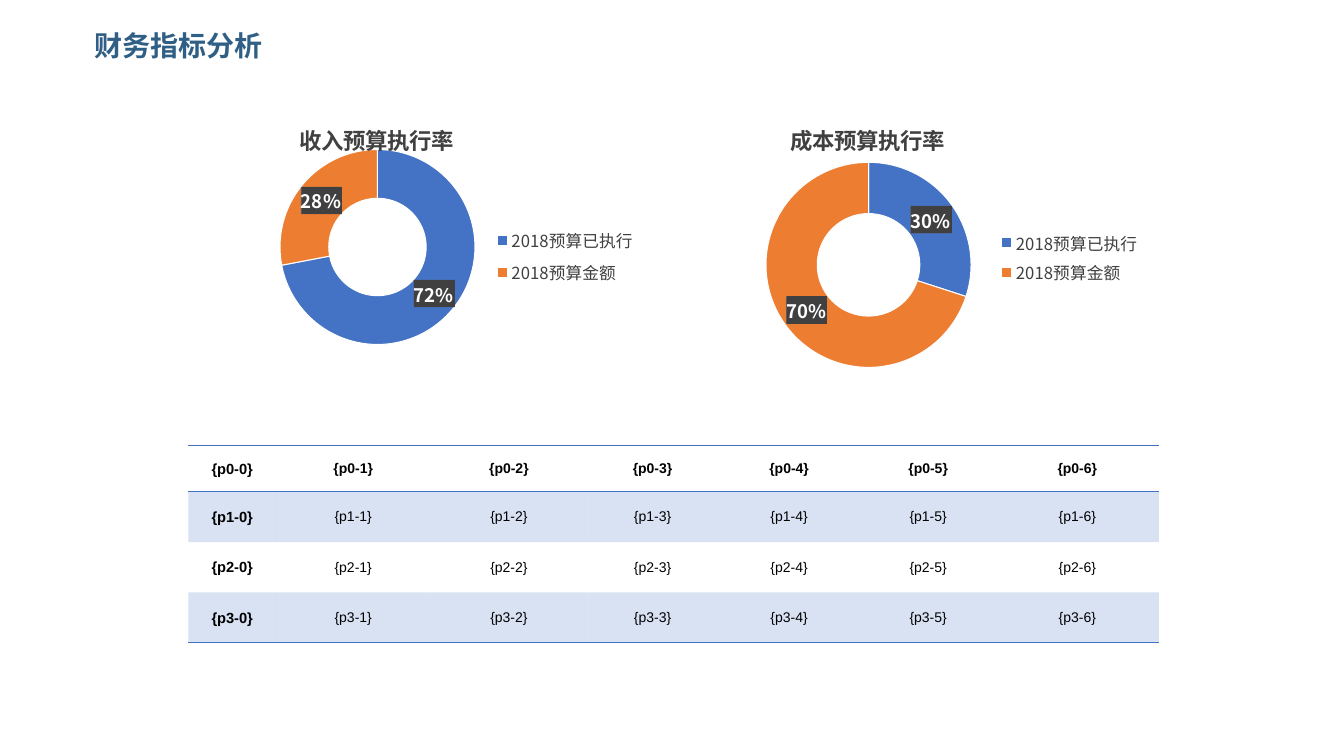
from dataclasses import dataclass

from lxml import etree
from pptx import Presentation
from pptx.chart.data import CategoryChartData
from pptx.dml.color import RGBColor
from pptx.enum.chart import XL_CHART_TYPE, XL_LEGEND_POSITION
from pptx.enum.text import MSO_ANCHOR, PP_ALIGN
from pptx.oxml import parse_xml
from pptx.oxml.ns import nsdecls, qn
from pptx.util import Pt

DOUGHNUT = XL_CHART_TYPE.DOUGHNUT
LEGEND_RIGHT = XL_LEGEND_POSITION.RIGHT
CENTER = PP_ALIGN.CENTER
MIDDLE = MSO_ANCHOR.MIDDLE
BOTTOM = MSO_ANCHOR.BOTTOM

COLORS = {
    "title": "305F86", "blue": "4472C4", "orange": "ED7D31", "gray": "404040",
    "label_back": "595959", "white": "FFFFFF", "black": "000000",
}
CJK, LATIN = "Noto Sans CJK SC", "Arial"
NO_STYLE = "{2D5ABB26-0587-4C30-8999-92F81FD0307C}"
CATEGORIES = ("2018预算已执行", "2018预算金额")
COL_WIDTHS = (62.6, 110.2, 112.3, 92.9, 102.2, 96.5, 116.6)
ROW_HEIGHTS = (33, 36, 36, 36)


@dataclass
class Ring:
    """A doughnut chart: box in points, layouts as fractions of the box."""
    title: str
    values: tuple[int, int]
    box: tuple[float, float, float, float]
    title_at: tuple[float, float]
    plot_at: tuple[float, float, float, float]
    legend_at: tuple[float, float, float, float]


RINGS = (
    Ring("收入预算执行率", (72, 28), (46.8, 76.3, 432.7, 190.8),
         (0.38, 0.04), (0.26, 0.16, 0.51, 0.73), (0.7, 0.43, 0.25, 0.26)),
    Ring("成本预算执行率", (30, 70), (535.7, 63.4, 287.3, 208),
         (0.09, 0.1), (0.04, 0.25, 0.51, 0.71), (0.6, 0.47, 0.39, 0.22)),
)


def rgb(name: str) -> RGBColor:
    """Look up a named colour."""
    return RGBColor.from_string(COLORS[name])


def style(font, size: float, color: str, bold: bool = False, name: str = CJK) -> None:
    """Format a font, for Latin and East Asian text alike."""
    font.size, font.bold, font.name = Pt(size), bold, name
    font.color.rgb = rgb(color)
    etree.SubElement(font._rPr, qn("a:ea")).set("typeface", name)


def place(element, values: tuple[float, ...], inner: bool = False) -> None:
    """Give a chart part a manual layout."""
    tags = '<c:layoutTarget val="inner"/>' if inner else ""
    tags += "".join(f'<c:{mode}Mode val="edge"/>' for mode in "xy")
    tags += "".join(f'<c:{key} val="{v}"/>' for key, v in zip("xywh", values))
    layout = parse_xml(f'<c:layout {nsdecls("c")}><c:manualLayout>{tags}'
                       '</c:manualLayout></c:layout>')
    for old in element.findall(qn("c:layout")):
        element.remove(old)
    before = [element.find(qn(t)) for t in ("c:tx", "c:legendPos")]
    index = max((element.index(e) + 1 for e in before if e is not None), default=0)
    element.insert(index, layout)


def add_ring(s, ring: Ring) -> None:
    """Draw one doughnut chart with title, legend and percentages."""
    data = CategoryChartData()
    data.categories = CATEGORIES
    data.add_series(ring.title, ring.values)
    chart = s.shapes.add_chart(DOUGHNUT, *map(Pt, ring.box), data).chart
    style(chart.font, 10, "black")

    chart.has_title = True
    tf = chart.chart_title.text_frame
    tf.text = ring.title
    style(tf.paragraphs[0].runs[0].font, 16, "gray", bold=True)
    chart.chart_title.include_in_layout = False

    chart.has_legend = True
    chart.legend.position = LEGEND_RIGHT
    chart.legend.include_in_layout = False
    style(chart.legend.font, 11.9, "gray")

    plot = chart.plots[0]
    plot.vary_by_categories = True
    series = plot.series[0]
    for i, color in enumerate(("blue", "orange")):
        fmt = series.points[i].format
        fmt.fill.solid()
        fmt.fill.fore_color.rgb = rgb(color)
        fmt.line.color.rgb = rgb("white")
        fmt.line.width = Pt(0.75)

    labels = series.data_labels
    labels.show_value, labels.show_percentage = False, True
    labels.number_format, labels.number_format_is_linked = "0%", False
    style(labels.font, 13.3, "white", bold=True)
    labels._element.find(qn("c:txPr")).addprevious(parse_xml(
        f'<c:spPr {nsdecls("c", "a")}><a:pattFill prst="dkVert">'
        f'<a:fgClr><a:srgbClr val="{COLORS["gray"]}"/></a:fgClr>'
        f'<a:bgClr><a:srgbClr val="{COLORS["label_back"]}"/></a:bgClr>'
        '</a:pattFill></c:spPr>'))

    place(chart.chart_title._element, ring.title_at)
    place(chart.legend._element, ring.legend_at)
    place(plot._element.getparent(), ring.plot_at, inner=True)


def add_border(cell, side: str) -> None:
    """Rule one side of a cell, "T" or "B"."""
    cell._tc.get_or_add_tcPr().insert(0, parse_xml(
        f'<a:ln{side} {nsdecls("a")} w="{Pt(1)}"><a:solidFill>'
        f'<a:srgbClr val="{COLORS["blue"]}"/></a:solidFill></a:ln{side}>'))


def fill_cell(cell, row: int, col: int) -> None:
    """Write and format one table cell."""
    cell.text = f"{{p{row}-{col}}}"
    cell.vertical_anchor = MIDDLE
    inset = Pt(0.72 if col == 0 else 0)
    cell.margin_left = cell.margin_right = cell.margin_top = inset
    cell.margin_bottom = Pt(0)
    p = cell.text_frame.paragraphs[0]
    p.alignment = CENTER
    style(p.runs[0].font, 10.5 if col == 0 else 10, "black",
          bold=row == 0 or col == 0, name=LATIN)
    if row % 2:
        cell.fill.solid()
        cell.fill.fore_color.rgb = rgb("blue")
        color = cell._tc.tcPr.find(qn("a:solidFill"))[0]
        etree.SubElement(color, qn("a:alpha")).set("val", "20000")
    else:
        cell.fill.background()
    if row in (0, len(ROW_HEIGHTS) - 1):
        add_border(cell, "B")
    if row == 0:
        add_border(cell, "T")


def add_indicator_table(s) -> None:
    """Draw the table of indicators."""
    frame = s.shapes.add_table(
        len(ROW_HEIGHTS), len(COL_WIDTHS), Pt(134.6), Pt(318.2),
        Pt(sum(COL_WIDTHS)), Pt(sum(ROW_HEIGHTS)))
    table = frame.table
    table.first_row = table.horz_banding = False
    table._tbl.tblPr.find(qn("a:tableStyleId")).text = NO_STYLE
    for column, width in zip(table.columns, COL_WIDTHS):
        column.width = Pt(width)
    for i, height in enumerate(ROW_HEIGHTS):
        table.rows[i].height = Pt(height)
        for j in range(len(COL_WIDTHS)):
            fill_cell(table.cell(i, j), i, j)


def set_title(s, text: str) -> None:
    """Move and format the title placeholder."""
    sp = s.shapes.title
    sp.left, sp.top, sp.width, sp.height = map(Pt, (29.5, 7.2, 196.6, 41))
    tf = sp.text_frame
    tf.text = text
    tf.word_wrap = True
    tf.vertical_anchor = BOTTOM
    p = tf.paragraphs[0]
    p.alignment, p.line_spacing = CENTER, 0.9
    style(p.runs[0].font, 20, "title", bold=True)


def main() -> None:
    """Build the slide and save it."""
    prs = Presentation()
    prs.slide_width, prs.slide_height = Pt(960), Pt(540)
    s = prs.slides.add_slide(prs.slide_layouts.get_by_name("Title Only"))
    set_title(s, "财务指标分析")
    for ring in RINGS:
        add_ring(s, ring)
    add_indicator_table(s)
    prs.save("out.pptx")


main()
